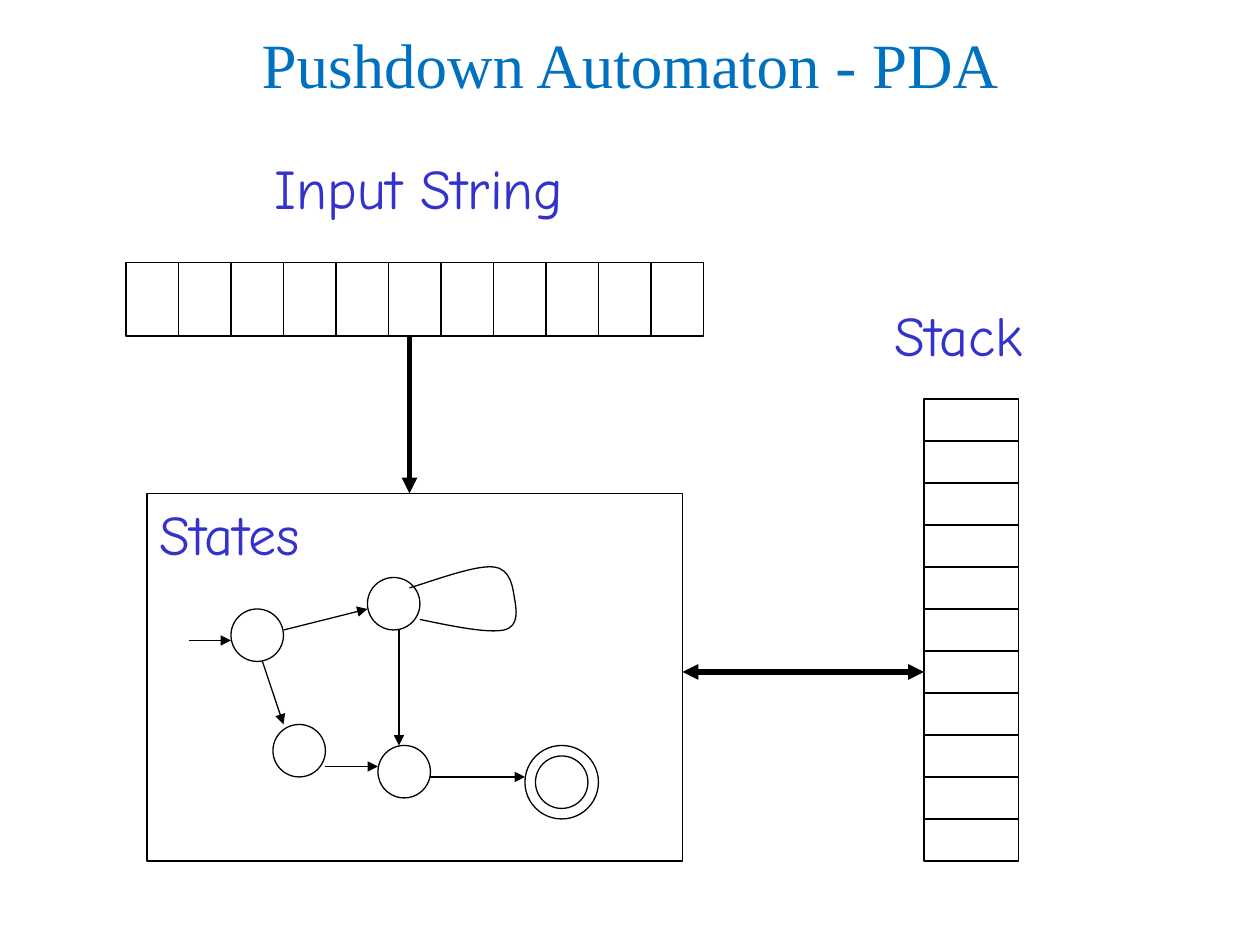
from dataclasses import dataclass

from lxml.etree import SubElement
from pptx import Presentation
from pptx.dml.color import RGBColor
from pptx.enum.shapes import MSO_CONNECTOR, MSO_SHAPE
from pptx.enum.text import MSO_ANCHOR, MSO_AUTO_SIZE, PP_ALIGN
from pptx.oxml.ns import qn
from pptx.util import Pt

BLACK = RGBColor(0x00, 0x00, 0x00)
TITLE_BLUE = RGBColor(0x00, 0x70, 0xC0)
LABEL_BLUE = RGBColor(0x33, 0x33, 0xCC)
THIN, THICK = 0.75, 3
STATE_SIZE = 30


@dataclass
class Box:
    left: float
    top: float
    width: float
    height: float

    def lengths(self):
        return Pt(self.left), Pt(self.top), Pt(self.width), Pt(self.height)


@dataclass
class Line:
    x1: float
    y1: float
    x2: float
    y2: float
    weight: float = THIN
    head: bool = False
    tail: bool = False


@dataclass
class Label:
    text: str
    box: Box


CONTROL = Box(84, 282, 306, 210)
TAPE = Box(72, 150, 330, 42)
STACK = Box(528, 228, 54, 264)
CELLS = 11

STATES = [(132, 348), (210, 330), (156, 414), (216, 426), (306, 432)]
FINAL_RING = Box(300, 426, 42, 42)
TRANSITIONS = [
    Line(108, 366, 132, 366, tail=True),
    Line(162, 360, 210, 348, tail=True),
    Line(150, 378, 162, 414, tail=True),
    Line(186, 438, 216, 438, tail=True),
    Line(228, 360, 228, 426, tail=True),
    Line(246, 444, 300, 444, tail=True),
]
LINKS = [
    Line(234, 192, 234, 282, THICK, tail=True),
    Line(528, 384, 390, 384, THICK, head=True, tail=True),
]
LOOP_START = (234, 336)
LOOP_CURVES = [
    (253, 330), (272, 323), (282, 324),
    (292, 325), (293, 336), (294, 342),
    (295, 348), (297, 358), (288, 360),
    (279, 362), (259, 358), (240, 354),
]
LABELS = [
    Label("Input String", Box(150, 84, 203, 52)),
    Label("Stack", Box(504, 168, 102, 52)),
    Label("States", Box(84, 282, 117, 52)),
]


def style_outline(shape) -> None:
    shape.shadow.inherit = False
    shape.fill.background()
    shape.line.color.rgb = BLACK
    shape.line.width = Pt(THIN)


def draw_shape(page, kind: MSO_SHAPE, box: Box) -> None:
    style_outline(page.shapes.add_shape(kind, *box.lengths()))


def draw_line(page, line: Line) -> None:
    connector = page.shapes.add_connector(
        MSO_CONNECTOR.STRAIGHT, Pt(line.x1), Pt(line.y1), Pt(line.x2), Pt(line.y2))
    connector.line.color.rgb = BLACK
    connector.line.width = Pt(line.weight)
    outline = connector.line._get_or_add_ln()
    for tag, shown in (("a:headEnd", line.head), ("a:tailEnd", line.tail)):
        if shown:
            SubElement(outline, qn(tag), type="triangle")
    SubElement(connector._element.spPr, qn("a:effectLst"))


def draw_cells(page, box: Box, across: bool) -> None:
    draw_shape(page, MSO_SHAPE.RECTANGLE, box)
    right, bottom = box.left + box.width, box.top + box.height
    for index in range(1, CELLS):
        if across:
            x = box.left + index * box.width / CELLS
            draw_line(page, Line(x, box.top, x, bottom))
        else:
            y = box.top + index * box.height / CELLS
            draw_line(page, Line(box.left, y, right, y))


def draw_loop(page) -> None:
    builder = page.shapes.build_freeform(*LOOP_START, scale=Pt(1))
    builder.add_line_segments(LOOP_CURVES, close=False)
    loop = builder.convert_to_shape()
    style_outline(loop)
    outline = next(loop._element.iter(qn("a:path")))
    segments = outline.findall(qn("a:lnTo"))
    for start in range(0, len(segments), 3):
        curve = SubElement(outline, qn("a:cubicBezTo"))
        for segment in segments[start:start + 3]:
            curve.append(segment[0])
            outline.remove(segment)


def format_text(frame, size: float, font: str, color: RGBColor) -> None:
    for para in frame.paragraphs:
        for span in para.runs:
            span.font.size = Pt(size)
            span.font.name = font
            span.font.color.rgb = color


def draw_label(page, label: Label) -> None:
    frame = page.shapes.add_textbox(*label.box.lengths()).text_frame
    frame.word_wrap = True
    frame.auto_size = MSO_AUTO_SIZE.SHAPE_TO_FIT_TEXT
    frame.text = label.text
    format_text(frame, 32, "Comic Neue", LABEL_BLUE)


def draw_title(page) -> None:
    title = page.shapes.title
    title.left, title.top, title.width, title.height = Box(12, 12, 696, 48).lengths()
    frame = title.text_frame
    frame.text = "Pushdown Automaton - PDA"
    frame.vertical_anchor = MSO_ANCHOR.MIDDLE
    frame.auto_size = MSO_AUTO_SIZE.NONE
    frame.paragraphs[0].alignment = PP_ALIGN.CENTER
    format_text(frame, 36, "Times New Roman", TITLE_BLUE)


def main() -> None:
    deck = Presentation()
    deck.slide_width, deck.slide_height = Pt(720), Pt(540)
    page = deck.slides.add_slide(deck.slide_layouts[5])
    draw_title(page)
    draw_shape(page, MSO_SHAPE.RECTANGLE, CONTROL)
    for left, top in STATES:
        draw_shape(page, MSO_SHAPE.OVAL, Box(left, top, STATE_SIZE, STATE_SIZE))
    draw_shape(page, MSO_SHAPE.OVAL, FINAL_RING)
    draw_loop(page)
    draw_cells(page, STACK, across=False)
    draw_cells(page, TAPE, across=True)
    for line in TRANSITIONS + LINKS:
        draw_line(page, line)
    for label in LABELS:
        draw_label(page, label)
    deck.save("out.pptx")


if __name__ == "__main__":
    main()
